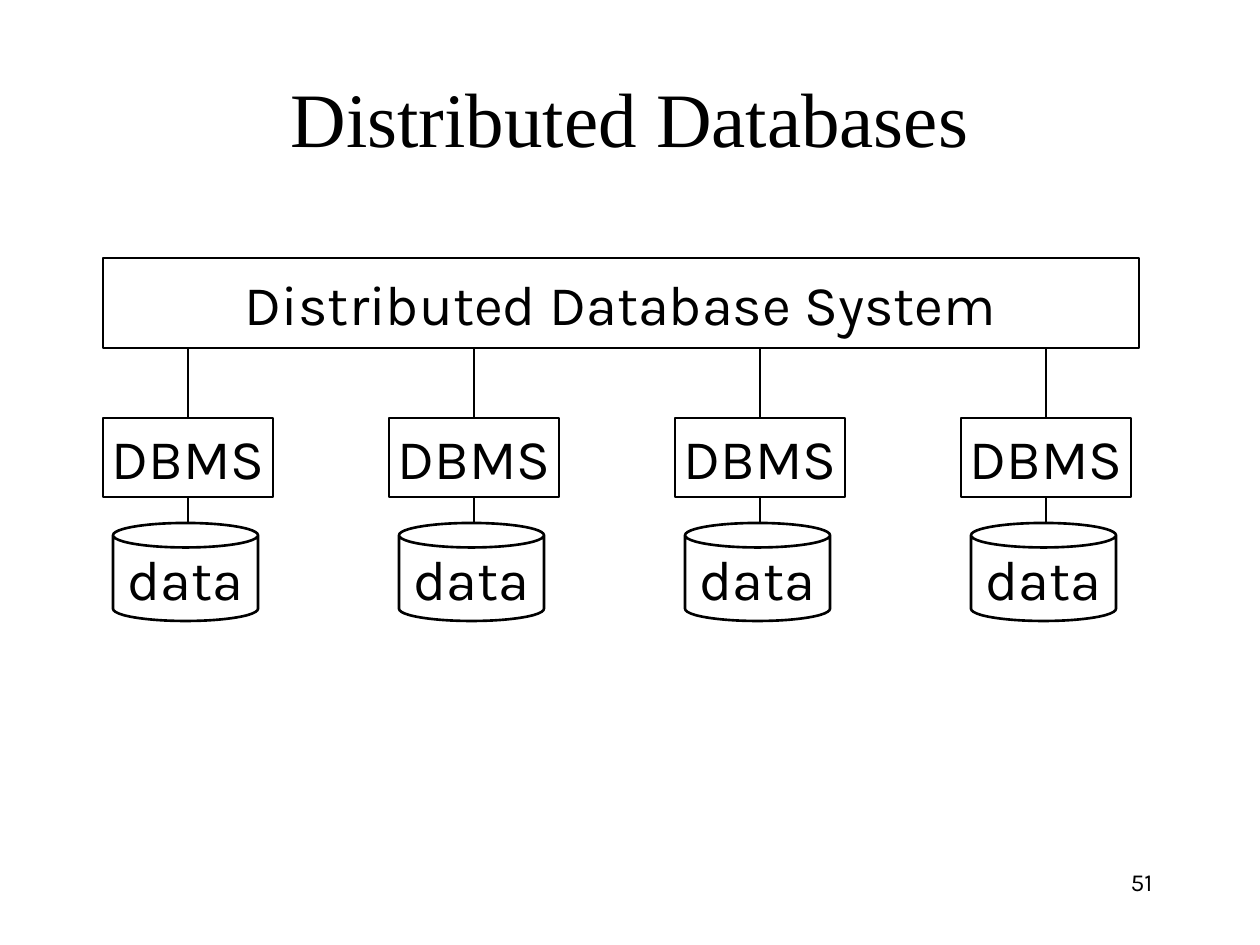
from dataclasses import dataclass

from lxml.etree import SubElement
from pptx import Presentation
from pptx.dml.color import RGBColor
from pptx.enum.shapes import MSO_CONNECTOR, MSO_SHAPE
from pptx.enum.text import MSO_ANCHOR, PP_ALIGN
from pptx.oxml.ns import qn
from pptx.shapes.autoshape import Shape
from pptx.shapes.connector import Connector
from pptx.util import Emu, Pt

BLACK = RGBColor(0x00, 0x00, 0x00)
WHITE = RGBColor(0xFF, 0xFF, 0xFF)
BODY_FONT = "Karla"
TITLE_FONT = "Times New Roman"

SITES = 4
PITCH = 286
BUS_BOTTOM = 348


def px(n: int) -> Emu:
    return Emu(round(n * 914400 / 126))


@dataclass(frozen=True)
class Box:
    x: int
    y: int
    w: int
    h: int

    def shifted(self, dx: int) -> "Box":
        return Box(self.x + dx, self.y, self.w, self.h)

    @property
    def center(self) -> int:
        return self.x + self.w // 2

    @property
    def bottom(self) -> int:
        return self.y + self.h

    def emu(self) -> tuple[Emu, Emu, Emu, Emu]:
        return px(self.x), px(self.y), px(self.w), px(self.h)


@dataclass(frozen=True)
class Label:
    text: str
    box: Box
    size: int
    font: str
    align: PP_ALIGN
    anchor: MSO_ANCHOR


@dataclass(frozen=True)
class Node:
    text: str
    box: Box
    kind: MSO_SHAPE


LABELS = [
    Label("51", Box(903, 861, 262, 63), 14, BODY_FONT, PP_ALIGN.RIGHT, MSO_ANCHOR.TOP),
    Label("Distributed Databases", Box(63, 38, 1134, 157), 44, TITLE_FONT,
          PP_ALIGN.CENTER, MSO_ANCHOR.MIDDLE),
]
BUS = Node("Distributed Database System", Box(103, 258, 1036, 90), MSO_SHAPE.RECTANGLE)
DBMS = Node("DBMS", Box(103, 418, 170, 79), MSO_SHAPE.RECTANGLE)
DATA = Node("data", Box(113, 523, 145, 98), MSO_SHAPE.CAN)


def set_text(sp: Shape, text: str, size: int, font: str,
             align: PP_ALIGN, anchor: MSO_ANCHOR, wrap: bool) -> None:
    tf = sp.text_frame
    tf.word_wrap = wrap
    tf.vertical_anchor = anchor
    p = tf.paragraphs[0]
    p.text = text
    p.alignment = align
    p.font.size = Pt(size)
    p.font.name = font
    p.font.color.rgb = BLACK


def add_label(shapes, label: Label) -> None:
    sp = shapes.add_textbox(*label.box.emu())
    set_text(sp, label.text, label.size, label.font, label.align, label.anchor, True)


def add_node(shapes, node: Node, dx: int = 0) -> Shape:
    sp = shapes.add_shape(node.kind, *node.box.shifted(dx).emu())
    sp.shadow.inherit = False
    sp.fill.solid()
    sp.fill.fore_color.rgb = WHITE
    sp.line.color.rgb = BLACK
    sp.line.width = Pt(1.5)
    set_text(sp, node.text, 32, BODY_FONT, PP_ALIGN.CENTER, MSO_ANCHOR.MIDDLE, False)
    return sp


def add_link(shapes, x: int, top: int, bottom: int) -> Connector:
    cxn = shapes.add_connector(MSO_CONNECTOR.STRAIGHT, px(x), px(top), px(x), px(bottom))
    cxn.line.color.rgb = BLACK
    cxn.line.width = Pt(1.5)
    SubElement(cxn._element.spPr, qn("a:effectLst"))
    return cxn


def add_site(shapes, dx: int) -> Shape:
    group = shapes.add_group_shape()
    can = add_node(group.shapes, DATA, dx)
    can.adjustments[0] = 0.25
    dbms = add_node(group.shapes, DBMS, dx)
    link = add_link(group.shapes, DBMS.box.center + dx, DBMS.box.bottom, DATA.box.y)
    link.begin_connect(dbms, 2)
    return dbms


def main() -> None:
    prs = Presentation()
    prs.slide_width, prs.slide_height = px(1260), px(945)
    s = prs.slides.add_slide(prs.slide_layouts[6])
    for label in LABELS:
        add_label(s.shapes, label)
    offsets = [i * PITCH for i in range(SITES)]
    sites = [add_site(s.shapes, dx) for dx in offsets]
    add_node(s.shapes, BUS)
    for dx, dbms in zip(offsets, sites):
        link = add_link(s.shapes, DBMS.box.center + dx, BUS_BOTTOM, DBMS.box.y)
        link.end_connect(dbms, 0)
    prs.save("out.pptx")


if __name__ == "__main__":
    main()
